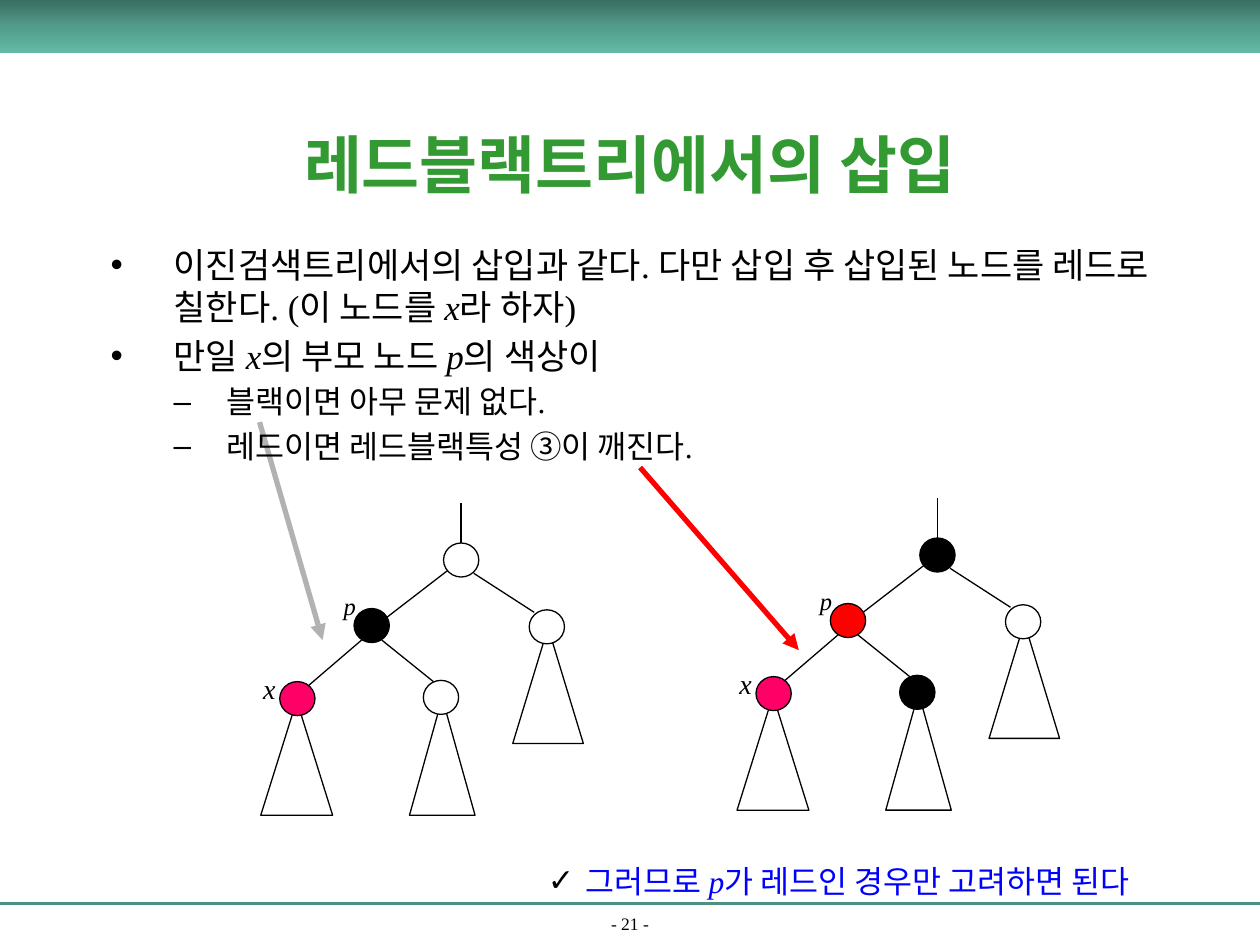
from copy import deepcopy

from lxml import etree
from pptx import Presentation
from pptx.dml.color import RGBColor
from pptx.enum.shapes import MSO_CONNECTOR, MSO_SHAPE
from pptx.enum.text import MSO_ANCHOR, PP_ALIGN
from pptx.oxml.ns import qn
from pptx.util import Inches, Pt

LINE = MSO_CONNECTOR.STRAIGHT
RECT, OVAL, TRIANGLE = MSO_SHAPE.RECTANGLE, MSO_SHAPE.OVAL, MSO_SHAPE.ISOSCELES_TRIANGLE
TOP, MIDDLE, BOTTOM = MSO_ANCHOR.TOP, MSO_ANCHOR.MIDDLE, MSO_ANCHOR.BOTTOM
LEFT, CENTER = PP_ALIGN.LEFT, PP_ALIGN.CENTER
SERIF, SANS = "Times New Roman", "Arial"
BLACK, WHITE, RED, PINK = "000000", "FFFFFF", "FF0000", "FF0066"

EDGES = [
    (3.66, 4.31, 3.66, 3.99), (3.55, 4.53, 3.07, 4.9), (3.76, 4.55, 4.24, 4.86),
    (2.87, 5.08, 2.45, 5.44), (3.03, 5.08, 3.44, 5.41),
]
SUBTREES = [(2.07, 5.56, 0.57, 0.91), (3.25, 5.54, 0.52, 0.93), (4.07, 4.98, 0.56, 0.92)]
# root, parent p, uncle, new node x, sibling
NODES = [(3.52, 4.31), (2.81, 4.83), (4.2, 4.84), (2.22, 5.41), (3.36, 5.4)]
POINTS = [("–", "블랙이면 아무 문제 없다."), ("–", "레드이면 레드블랙특성 ③이 깨진다.")]


def color(code):
    return RGBColor.from_string(code)


def add_line(slide, ends, code=BLACK, width=0.75, arrow=False):
    line = slide.shapes.add_connector(LINE, *map(Inches, ends))
    line.line.color.rgb = color(code)
    line.line.width = Pt(width)
    props = line._element.spPr
    if arrow:
        etree.SubElement(props.find(qn("a:ln")), qn("a:tailEnd"), type="triangle")
    etree.SubElement(props, qn("a:effectLst"))


def add_form(slide, kind, box, fill=None):
    form = slide.shapes.add_shape(kind, *map(Inches, box))
    form.shadow.inherit = False
    if fill:
        form.fill.solid()
        form.fill.fore_color.rgb = color(fill)
    else:
        form.fill.background()
    form.line.color.rgb = color(BLACK)
    form.line.width = Pt(0.75)


def add_band(slide):
    band = slide.shapes.add_shape(RECT, 0, 0, Inches(10), Inches(0.42))
    band.shadow.inherit = False
    band.line.fill.background()
    band.fill.gradient()
    band.fill.gradient_angle = 270
    stops = band._element.spPr.find(qn("a:gradFill")).find(qn("a:gsLst"))
    stops.append(deepcopy(stops[0]))
    shades = [(0, "3A6D62"), (0.5, "539C8B"), (1, "62B9A5")]
    for stop, (place, code) in zip(band.fill.gradient_stops, shades):
        stop.position = place
        stop.color.rgb = color(code)


def add_frame(slide, box, anchor=TOP, wrap=True):
    frame = slide.shapes.add_textbox(*map(Inches, box)).text_frame
    frame.word_wrap = wrap
    frame.vertical_anchor = anchor
    return frame


def set_bullet(para, mark, margin, hang):
    props = para._p.get_or_add_pPr()
    props.set("marL", str(Inches(margin)))
    props.set("indent", str(-Inches(hang)))
    tint = etree.SubElement(props, qn("a:buClr"))
    etree.SubElement(tint, qn("a:srgbClr"), val=BLACK)
    etree.SubElement(props, qn("a:buFont"), typeface=SANS)
    etree.SubElement(props, qn("a:buChar"), char=mark)


def write(para, text, size, code=BLACK, name=SERIF, bold=False, align=LEFT):
    """Write text in which *stars* enclose italic serif variables."""
    para.alignment = align
    font = para.font
    font.size, font.name, font.bold = Pt(size), name, bold
    font.color.rgb = color(code)
    for place, part in enumerate(text.split("*")):
        if part:
            run = para.add_run()
            run.text = part
            if place % 2:
                run.font.italic = True
                run.font.name = SERIF


def add_text(slide, box, text, size, anchor=TOP, wrap=True, **style):
    write(add_frame(slide, box, anchor, wrap).paragraphs[0], text, size, **style)


def add_body(slide):
    frame = add_frame(slide, (0.78, 1.88, 8.54, 2.01))
    items = [
        ("•", "이진검색트리에서의 삽입과 같다. 다만 삽입 후 삽입된 노드를 "
              "레드로 칠한다. (이 노드를 *x*라 하자)"),
        ("•", "만일 *x*의 부모 노드 *p*의 색상이"),
    ] + POINTS
    for place, (mark, text) in enumerate(items):
        para = frame.add_paragraph() if place else frame.paragraphs[0]
        sub = mark == "–"
        size = 18 if sub else 20
        if place:
            para.space_before = Pt(size * 0.2)
        para.level = int(sub)
        set_bullet(para, mark, *((0.92, 0.42) if sub else (0.5, 0.5)))
        write(para, text, size)


def add_tree(slide, dx, dy, fills):
    """Draw the tree moved by dx and dy, its nodes filled in the order of NODES."""
    for x1, y1, x2, y2 in EDGES:
        add_line(slide, (x1 + dx, y1 + dy, x2 + dx, y2 + dy))
    for x, y, wide, high in SUBTREES:
        add_form(slide, TRIANGLE, (x + dx, y + dy, wide, high))
    for (x, y), fill in zip(NODES, fills):
        add_form(slide, OVAL, (x + dx, y + dy, 0.28, 0.27), fill)
    add_text(slide, (1.99 + dx, 5.28 + dy, 0.3, 0.37), "*x*", 16, wrap=False)
    add_text(slide, (2.63 + dx, 4.64 + dy, 0.3, 0.33), "*p*", 14, wrap=False)


def add_note(slide):
    para = add_frame(slide, (4.25, 6.79, 5.19, 0.4)).paragraphs[0]
    set_bullet(para, "✓", 0.3, 0.3)
    write(para, "그러므로 *p*가 레드인 경우만 고려하면 된다", 18, "0000FF", SANS)


def main():
    deck = Presentation()
    deck.slide_width, deck.slide_height = Inches(10), Inches(7.5)
    slide = deck.slides.add_slide(deck.slide_layouts[6])
    add_line(slide, (0, 7.17, 10, 7.17), "4C9282", 1.5)
    add_text(slide, (0, 7.24, 10, 0.22), "- 21 -", 10, BOTTOM, align=CENTER)
    add_band(slide)
    add_line(slide, (2.06, 3.35, 2.56, 5.08), "B2B2B2", 3, arrow=True)
    add_text(slide, (0.75, 0.67, 8.5, 1.25), "레드블랙트리에서의 삽입", 36, MIDDLE,
             code="339933", bold=True, align=CENTER)
    add_body(slide)
    add_tree(slide, 0, 0, [None, BLACK, WHITE, PINK, WHITE])
    add_tree(slide, 3.78, -0.04, [BLACK, RED, WHITE, PINK, BLACK])
    add_line(slide, (5.08, 3.71, 6.34, 5.16), RED, 3, arrow=True)
    add_note(slide)
    deck.save("out.pptx")


if __name__ == "__main__":
    main()
